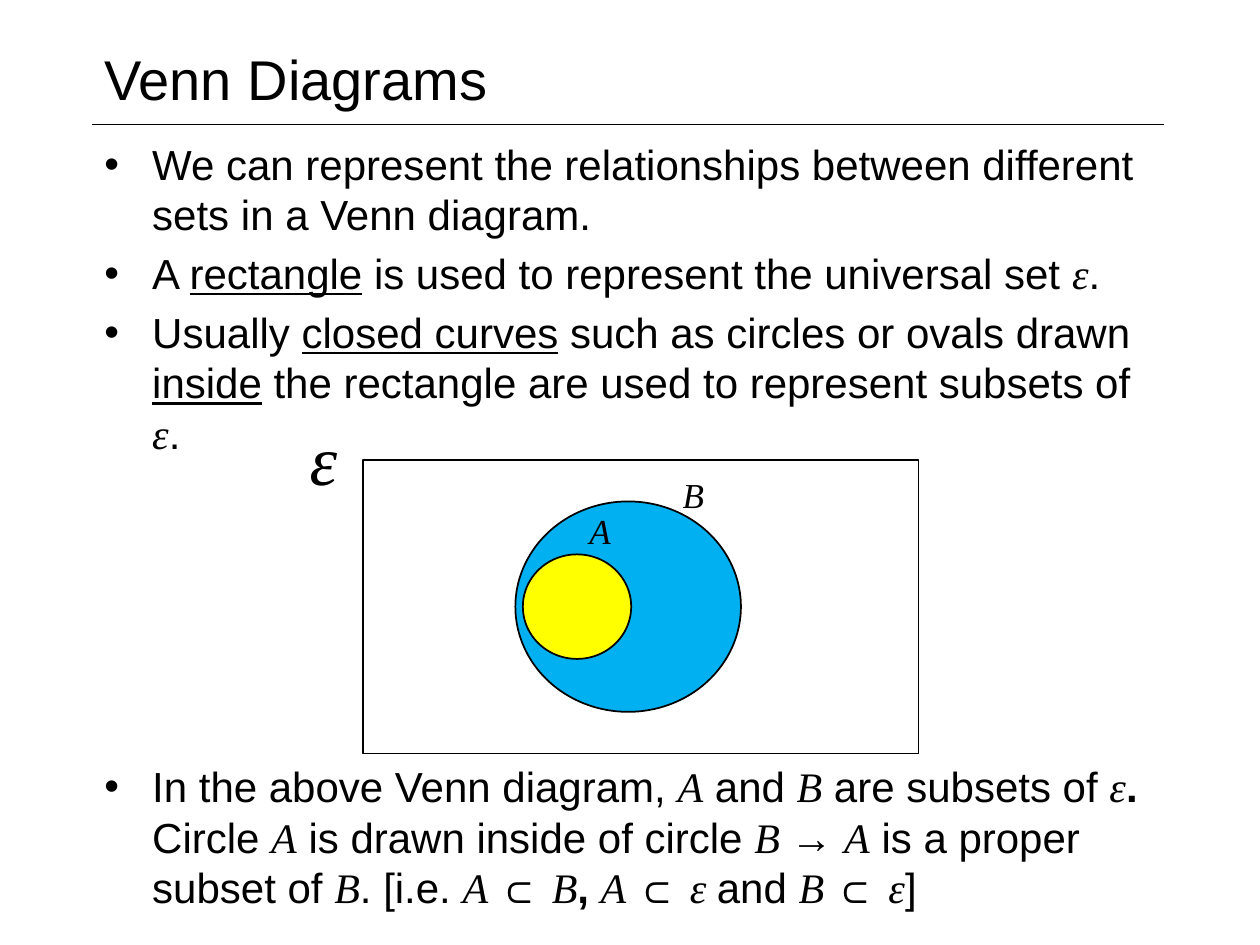
from dataclasses import dataclass
from lxml.etree import SubElement
from pptx import Presentation
from pptx.dml.color import RGBColor
from pptx.enum.shapes import MSO_CONNECTOR, MSO_SHAPE
from pptx.enum.text import MSO_ANCHOR
from pptx.oxml.ns import qn
from pptx.util import Inches, Pt


@dataclass(frozen=True)
class Theme:
    ink: RGBColor = RGBColor(0, 0, 0)
    outer: RGBColor = RGBColor(0x00, 0xB0, 0xF0)
    inner: RGBColor = RGBColor(0xFF, 0xFF, 0x00)
    sans: str = "Arial"
    serif: str = "Times New Roman"
    title: float = 32
    body: float = 24
    sign: float = 40
    label: float = 20
    hair: float = 0.25
    edge: float = 1
    gap: float = 4.8
    indent: float = 0.38


@dataclass(frozen=True)
class Box:
    left: float
    top: float
    wide: float
    high: float

    def inset(self, col, row, wide, high):
        return Box(self.left + col, self.top + row, wide, high)

    def place(self):
        return [Inches(n * CELL) for n in (self.left, self.top, self.wide, self.high)]


CELL = 0.1
LOOK = Theme()

INTRO = [
    "We can represent the relationships between different sets in a Venn diagram.",
    "A |_rectangle| is used to represent the universal set |*ε|.",
    "Usually |_closed curves| such as circles or ovals drawn |_inside"
    "| the rectangle are used to represent subsets of |*ε|.",
]
NOTE = [
    "In the above Venn diagram, |*A| and |*B| are subsets of |*ε|!. |Circle |*A"
    "| is drawn inside of circle |*B |→ |*A| is a proper subset of |*B"
    "|. [i.e. |*A |⊂ |*B|!, |*A |⊂ |*ε |and |*B |⊂ |*ε|]",
]


def add_text(slide, box, wrap=True):
    frame = slide.shapes.add_textbox(*box.place()).text_frame
    frame.word_wrap = wrap
    return frame


def set_font(font, size, name=None):
    font.size = Pt(size)
    font.color.rgb = LOOK.ink
    if name:
        font.name = name


def add_runs(para, text):
    for bit in text.split("|"):
        mark = bit[0] if bit[0] in "_*!" else ""
        run = para.add_run()
        run.text = bit[len(mark):]
        run.font.name = LOOK.serif if mark == "*" else LOOK.sans
        if mark == "*":
            run.font.italic = True
        elif mark == "_":
            run.font.underline = True
        elif mark == "!":
            run.font.bold = True


def add_bullet(para):
    props = para._p.get_or_add_pPr()
    props.set("marL", str(Inches(LOOK.indent)))
    props.set("indent", str(-Inches(LOOK.indent)))
    SubElement(props, qn("a:buFont")).set("typeface", LOOK.sans)
    SubElement(props, qn("a:buChar")).set("char", "•")


def add_title(slide, box):
    frame = add_text(slide, box.inset(0, 0, 67.9, 6.6))
    frame.vertical_anchor = MSO_ANCHOR.MIDDLE
    para = frame.paragraphs[0]
    para.text = "Venn Diagrams"
    set_font(para.font, LOOK.title, LOOK.sans)
    left, top, wide, high = box.place()
    rule = slide.shapes.add_connector(
        MSO_CONNECTOR.STRAIGHT, left, top + high, left + wide, top + high)
    rule.line.color.rgb = LOOK.ink
    rule.line.width = Pt(LOOK.hair)
    SubElement(rule._element.spPr, qn("a:effectLst"))


def add_list(slide, box, items):
    frame = add_text(slide, box)
    for i, text in enumerate(items):
        para = frame.add_paragraph() if i else frame.paragraphs[0]
        para.space_before = Pt(LOOK.gap)
        add_bullet(para)
        set_font(para.font, LOOK.body)
        add_runs(para, text)


def add_venn(slide, box):
    for kind, spot, fill in (
        (MSO_SHAPE.RECTANGLE, (0, 0, box.wide, box.high), None),
        (MSO_SHAPE.OVAL, (12.1, 3.3, 17.9, 16.7), LOOK.outer),
        (MSO_SHAPE.OVAL, (12.7, 7.5, 8.6, 8.3), LOOK.inner),
    ):
        shape = slide.shapes.add_shape(kind, *box.inset(*spot).place())
        shape.shadow.inherit = False
        shape.line.color.rgb = LOOK.ink
        shape.line.width = Pt(LOOK.edge)
        if fill is None:
            shape.fill.background()
        else:
            shape.fill.solid()
            shape.fill.fore_color.rgb = fill
    for text, spot, size in (
        ("ε", (-5.2, -3.3, 4.5, 7.1), LOOK.sign),
        ("A", (17, 3.8, 3.7, 4), LOOK.label),
        ("B", (24.4, 1, 3.7, 4), LOOK.label),
    ):
        para = add_text(slide, box.inset(*spot), False).paragraphs[0]
        para.text = text
        para.line_spacing = 0.9
        set_font(para.font, size, LOOK.serif)
        para.font.italic = True


def main():
    deck = Presentation()
    deck.slide_width, deck.slide_height = Inches(10), Inches(7.5)
    slide = deck.slides.add_slide(deck.slide_layouts[6])
    page = Box(7.3, 2.9, 85.1, 70.1)
    add_title(slide, page.inset(0, 0, page.wide, 7))
    add_list(slide, page.inset(0, 7.6, page.wide, 26.5), INTRO)
    add_list(slide, page.inset(0, 57, page.wide, 13.1), NOTE)
    add_venn(slide, page.inset(21.5, 33.6, 44.1, 23.3))
    deck.save("out.pptx")


if __name__ == "__main__":
    main()
